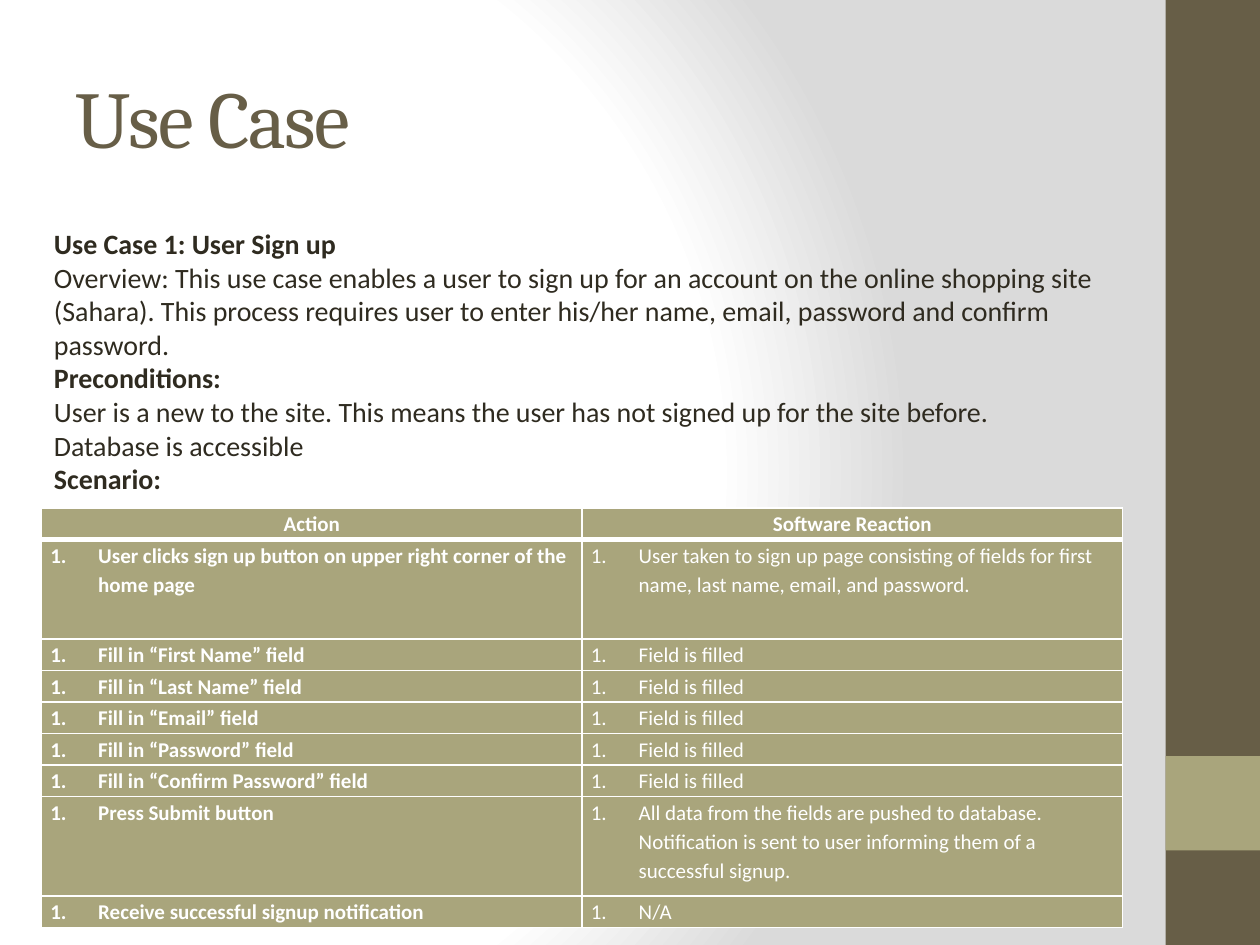
from pptx import Presentation
from pptx.dml.color import RGBColor
from pptx.enum.shapes import MSO_SHAPE
from pptx.enum.text import MSO_ANCHOR, PP_ALIGN
from pptx.oxml import parse_xml
from pptx.oxml.ns import nsdecls
from pptx.util import Inches, Pt

BROWN, OLIVE, INK, WHITE = "675E47", "A9A57C", "2F2B20", "FFFFFF"

OVERVIEW = [
    ("Use Case 1: User Sign up", True),
    ("Overview: This use case enables a user to sign up for an account on the online "
     "shopping site (Sahara). This process requires user to enter his/her name, email, "
     "password and confirm password.", False),
    ("Preconditions:", True),
    ("User is a new to the site. This means the user has not signed up for the site before.",
     False),
    ("Database is accessible", False),
    ("Scenario:", True),
]

FIELDS = ["First Name", "Last Name", "Email", "Password", "Confirm Password"]
HEADINGS = ("Action", "Software Reaction")
STEPS = [
    ("User clicks sign up button on upper right corner of the home page",
     "User taken to sign up page consisting of fields for first name, last name, email, "
     "and password."),
    *[(f"Fill in “{field}” field", "Field is filled") for field in FIELDS],
    ("Press Submit button",
     "All data from the fields are pushed to database. Notification is sent to user "
     "informing them of a successful signup."),
    ("Receive successful signup notification", "N/A"),
]
ROW_HEIGHT, TALL_ROW_HEIGHT = 0.25, 0.79
TALL_ROWS = (1, 7)


def color(value):
    return RGBColor.from_string(value)


def write(para, text, size=16, font="Calibri", fill=INK, bold=False, spacing=None,
          align=None, line_spacing=None):
    span = para.add_run()
    span.text = text
    span.font.size = Pt(size)
    span.font.name = font
    span.font.bold = bold
    span.font.color.rgb = color(fill)
    if spacing is not None:
        span.font._element.set("spc", str(int(spacing * 100)))
    para.alignment = align
    para.line_spacing = line_spacing


def number(para, indent):
    """Number the paragraph from 1, with a hanging indent."""
    properties = para._p.get_or_add_pPr()
    properties.set("marL", str(indent))
    properties.set("indent", str(-indent))
    properties.append(parse_xml(f'<a:buAutoNum {nsdecls("a")} type="arabicPeriod"/>'))


def style_cell(cell, top=1, bottom=1):
    """Fill the cell and draw its borders, with top and bottom widths in points."""
    cell.margin_left = cell.margin_right = Inches(0.07)
    cell.margin_top = cell.margin_bottom = 0
    properties = cell._tc.get_or_add_tcPr()
    for side, width in (("L", 1), ("R", 1), ("T", top), ("B", bottom)):
        properties.append(parse_xml(
            f'<a:ln{side} {nsdecls("a")} w="{Pt(width)}"><a:solidFill>'
            f'<a:srgbClr val="{WHITE}"/></a:solidFill></a:ln{side}>'))
    cell.fill.solid()
    cell.fill.fore_color.rgb = color(OLIVE)


def add_background(page):
    page.background.fill.solid()
    properties = page._element.cSld.get_or_add_bgPr()
    stops = "".join(f'<a:gs pos="{position * 1000}"><a:srgbClr val="{value}"/></a:gs>'
                    for position, value in ((0, WHITE), (75, WHITE), (100, "DADADA")))
    gradient = parse_xml(
        f'<a:gradFill {nsdecls("a")} rotWithShape="1"><a:gsLst>{stops}</a:gsLst>'
        '<a:path path="circle"><a:fillToRect l="20000" t="50000" r="100000" b="50000"/>'
        '</a:path></a:gradFill>')
    properties.replace(properties[0], gradient)


def add_sidebar(page, left, top, width, height):
    accent_top = top + height * 0.8
    for fill, y, tall in ((BROWN, top, height), (OLIVE, accent_top, width)):
        bar = page.shapes.add_shape(MSO_SHAPE.RECTANGLE, Inches(left), Inches(y),
                                    Inches(width), Inches(tall))
        bar.shadow.inherit = False
        bar.fill.solid()
        bar.fill.fore_color.rgb = color(fill)
        bar.line.fill.background()


def add_text_frame(page, left, top, width, height):
    box = page.shapes.add_textbox(Inches(left), Inches(top), Inches(width), Inches(height))
    box.text_frame.word_wrap = True
    return box.text_frame


def add_title(page, *area):
    frame = add_text_frame(page, *area)
    frame.vertical_anchor = MSO_ANCHOR.MIDDLE
    write(frame.paragraphs[0], "Use Case", size=46, font="Cambria", fill=BROWN, spacing=-1)


def add_overview(page, *area):
    frame = add_text_frame(page, *area)
    for index, (text, bold) in enumerate(OVERVIEW):
        para = frame.add_paragraph() if index else frame.paragraphs[0]
        write(para, text, bold=bold)


def add_scenario(page, left, top, width):
    rows = [HEADINGS, *STEPS]
    heights = [TALL_ROW_HEIGHT if index in TALL_ROWS else ROW_HEIGHT
               for index in range(len(rows))]
    frame = page.shapes.add_table(len(rows), len(HEADINGS), Inches(left), Inches(top),
                                  Inches(width), Inches(sum(heights)))
    table = frame.table
    for column in table.columns:
        column.width = Inches(width / len(HEADINGS))
    for row_index, texts in enumerate(rows):
        table.rows[row_index].height = Inches(heights[row_index])
        is_heading = row_index == 0
        for column_index, text in enumerate(texts):
            cell = table.cell(row_index, column_index)
            style_cell(cell, top=3 if row_index == 1 else 1, bottom=3 if is_heading else 1)
            para = cell.text_frame.paragraphs[0]
            write(para, text, size=12, fill=WHITE, bold=is_heading or column_index == 0,
                  align=PP_ALIGN.CENTER if is_heading else None, line_spacing=1.15)
            if not is_heading:
                number(para, Inches(0.38))


def main():
    deck = Presentation()
    deck.slide_width, deck.slide_height = Inches(10), Inches(7.5)
    page = deck.slides.add_slide(deck.slide_layouts[6])
    add_background(page)
    add_sidebar(page, 9.25, 0, 0.75, 7.5)
    add_title(page, 0.5, 0.3, 8.33, 1.25)
    add_scenario(page, 0.33, 4.03, 8.58)
    add_overview(page, 0.33, 1.75, 8.58, 2.56)
    deck.save("out.pptx")


if __name__ == "__main__":
    main()
